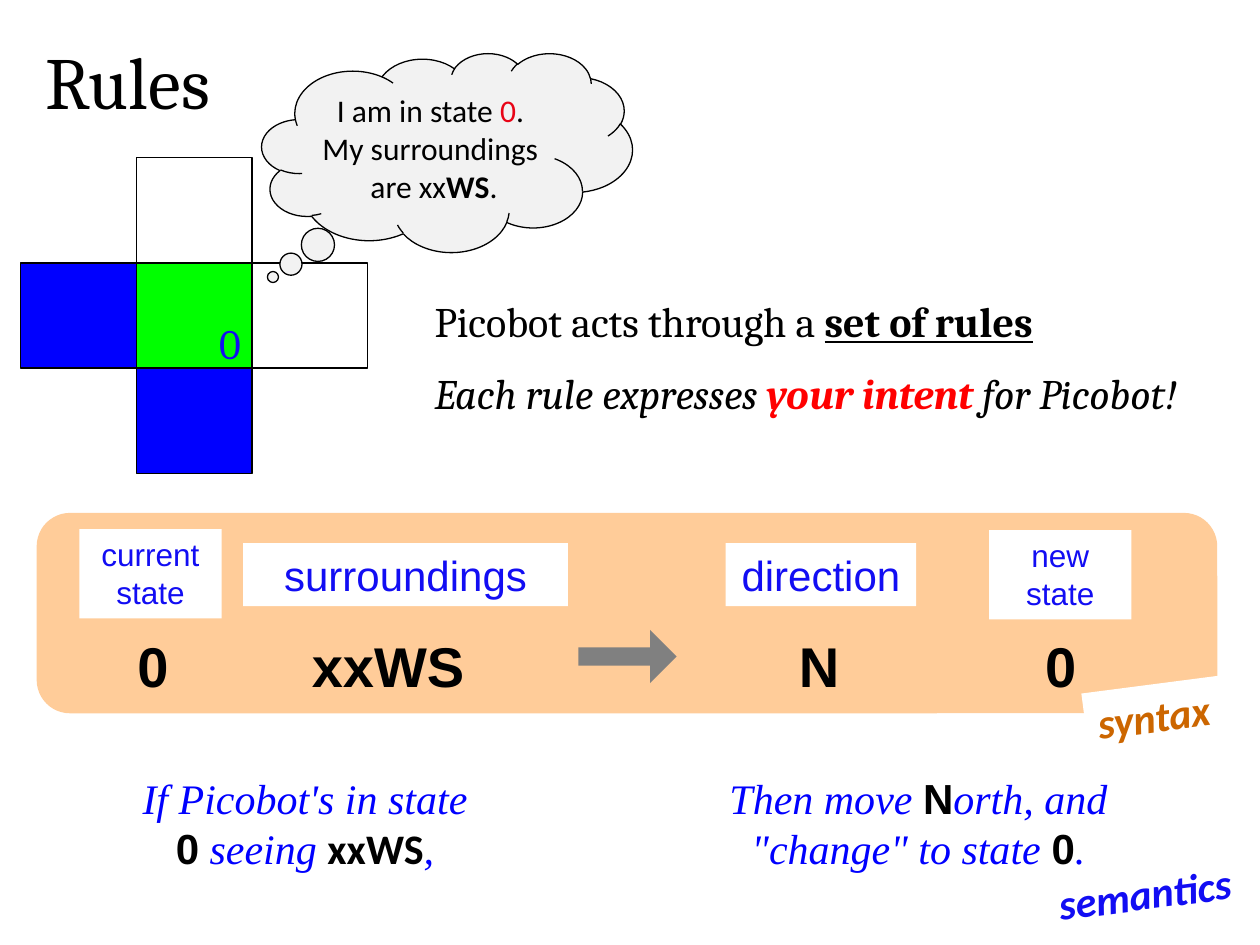
from dataclasses import dataclass

from pptx import Presentation
from pptx.dml.color import RGBColor
from pptx.enum.shapes import MSO_SHAPE as Preset
from pptx.enum.text import MSO_ANCHOR as Anchor, PP_ALIGN as Align
from pptx.util import Cm, Pt


@dataclass(frozen=True)
class Theme:
    black: str = "000000"
    white: str = "FFFFFF"
    wall: str = "0000FF"
    robot: str = "00FF00"
    panel: str = "FFCC99"
    cloud: str = "F2F2F2"
    arrow: str = "808080"
    label: str = "120DF3"
    state: str = "E80416"
    intent: str = "FF0000"
    syntax: str = "CC6600"
    title_size: int = 42
    value_size: int = 32
    body_size: int = 24
    small_size: int = 18
    serif: str = "Cambria"
    sans: str = "Arial"
    rounded: str = "Calibri"
    classic: str = "Times New Roman"


THEME = Theme()
TILT = -7.4


def write(box, *lines, align=Align.LEFT, anchor=Anchor.TOP, wrap=True, **style):
    """Write lines of spans; a span is a string or (string, style changes)."""
    frame = box.text_frame
    frame.word_wrap = wrap
    frame.vertical_anchor = anchor
    for index, line in enumerate(lines):
        para = frame.paragraphs[0] if index == 0 else frame.add_paragraph()
        para.alignment = align
        for part in [line] if isinstance(line, str) else line:
            text, changes = (part, {}) if isinstance(part, str) else part
            span = para.add_run()
            span.text = text
            format_span(span.font, **{**style, **changes})


def format_span(font, name=THEME.serif, size=THEME.body_size, color=THEME.black,
                bold=False, italic=False, underline=False):
    font.name = name
    font.size = Pt(size)
    font.color.rgb = RGBColor.from_string(color)
    font.bold = bold
    font.italic = italic
    font.underline = underline


def add_text(page, place, *lines, rotation=0, **style):
    box = page.shapes.add_textbox(*map(Cm, place))
    box.rotation = rotation
    write(box, *lines, **style)


def add_preset(page, preset, place, fill=None, line=None):
    shape = page.shapes.add_shape(preset, *map(Cm, place))
    shape.shadow.inherit = False
    if fill:
        shape.fill.solid()
        shape.fill.fore_color.rgb = RGBColor.from_string(fill)
    else:
        shape.fill.background()
    if line:
        shape.line.color.rgb = RGBColor.from_string(line)
        shape.line.width = Pt(0.75)
    else:
        shape.line.fill.background()
    return shape


def add_map(page):
    """Draw the robot's cell and its four neighbours as a cross."""
    left, top, width, height = 0.42, 3.18, 2.33, 2.12
    cells = [(1, 1, THEME.robot), (0, 1, THEME.wall), (1, 0, None),
             (1, 2, THEME.wall), (2, 1, None)]
    for column, row, fill in cells:
        place = (left + column * width, top + row * height, width, height)
        add_preset(page, Preset.RECTANGLE, place, fill, THEME.black)
    add_text(page, (4.17, 6.27, 0.99, 1.27), "0", color=THEME.label, wrap=False)


def add_thought(page):
    cloud = add_preset(page, Preset.CLOUD_CALLOUT, (5.28, 1.07, 7.47, 4.01),
                       THEME.cloud, THEME.black)
    cloud.adjustments[0] = -0.47
    cloud.adjustments[1] = 0.626
    write(cloud,
          ["I am in state ", ("0", {"color": THEME.state}), ". "],
          "My surroundings ",
          ["are xx", ("WS", {"bold": True}), "."],
          name=THEME.rounded, size=THEME.small_size, align=Align.CENTER,
          anchor=Anchor.MIDDLE, wrap=False)


def add_statements(page):
    add_text(page, (8.51, 5.84, 16.89, 1.3), [
        "Picobot acts through a ",
        ("set of rules", {"bold": True, "underline": True})])
    add_text(page, (8.51, 7.29, 16.89, 1.3), [
        "Each rule expresses ",
        ("your intent", {"color": THEME.intent, "bold": True}),
        " for Picobot!"], italic=True)


def add_rule(page):
    labels = [("current state", (1.6, 10.67, 2.87, 1.8), THEME.small_size),
              ("surroundings", (4.9, 10.95, 6.55, 1.27), THEME.body_size),
              ("direction", (14.63, 10.95, 3.84, 1.27), THEME.body_size),
              ("new state", (19.94, 10.69, 2.87, 1.8), THEME.small_size)]
    for text, place, size in labels:
        label = add_preset(page, Preset.RECTANGLE, place, THEME.white)
        write(label, text, name=THEME.sans, size=size, color=THEME.label,
              align=Align.CENTER)

    values = [("0", 2.03, 2.11), ("xxWS", 5.92, 3.81),
              ("N", 14.61, 3.81), ("0", 19.48, 3.81)]
    for text, left, width in values:
        add_text(page, (left, 12.6, width, 1.63), text, name=THEME.sans,
                 size=THEME.value_size, bold=True, align=Align.CENTER)

    arrow = add_preset(page, Preset.RIGHT_ARROW, (11.66, 12.7, 1.98, 1.07), THEME.arrow)
    arrow.adjustments[0] = 0.344


def add_meaning(page):
    sans_code = {"name": THEME.sans, "color": THEME.black, "bold": True, "italic": False}
    rounded_code = {**sans_code, "name": THEME.rounded}
    style = {"name": THEME.classic, "color": THEME.wall, "italic": True,
             "align": Align.CENTER}
    add_text(page, (2.34, 15.44, 7.62, 2.31), [
        "If Picobot's in state ", ("0", sans_code), " seeing ",
        ("xxWS", rounded_code), ","], **style)
    add_text(page, (14.17, 15.44, 8.69, 2.31), [
        "Then move ", ("N", sans_code), 'orth, and "change" to state ',
        ("0", sans_code), "."], **style)


def add_tags(page):
    style = {"name": THEME.rounded, "bold": True, "italic": True, "wrap": False}
    tag = add_preset(page, Preset.RECTANGLE, (21.87, 13.79, 2.9, 1.27), THEME.white)
    tag.rotation = TILT
    write(tag, "syntax", color=THEME.syntax, **style)
    add_text(page, (21.08, 17.37, 4.04, 1.27), "semantics", rotation=TILT,
             color=THEME.label, **style)


def main():
    deck = Presentation()
    deck.slide_width, deck.slide_height = Cm(25.4), Cm(19.05)
    page = deck.slides.add_slide(deck.slide_layouts[6])
    add_preset(page, Preset.ROUNDED_RECTANGLE, (0.74, 10.34, 23.8, 4.04), THEME.panel)
    add_text(page, (0.66, 0.61, 8.26, 2.03), "Rules", size=THEME.title_size)
    add_map(page)
    add_thought(page)
    add_statements(page)
    add_rule(page)
    add_meaning(page)
    add_tags(page)
    deck.save("out.pptx")


if __name__ == "__main__":
    main()
